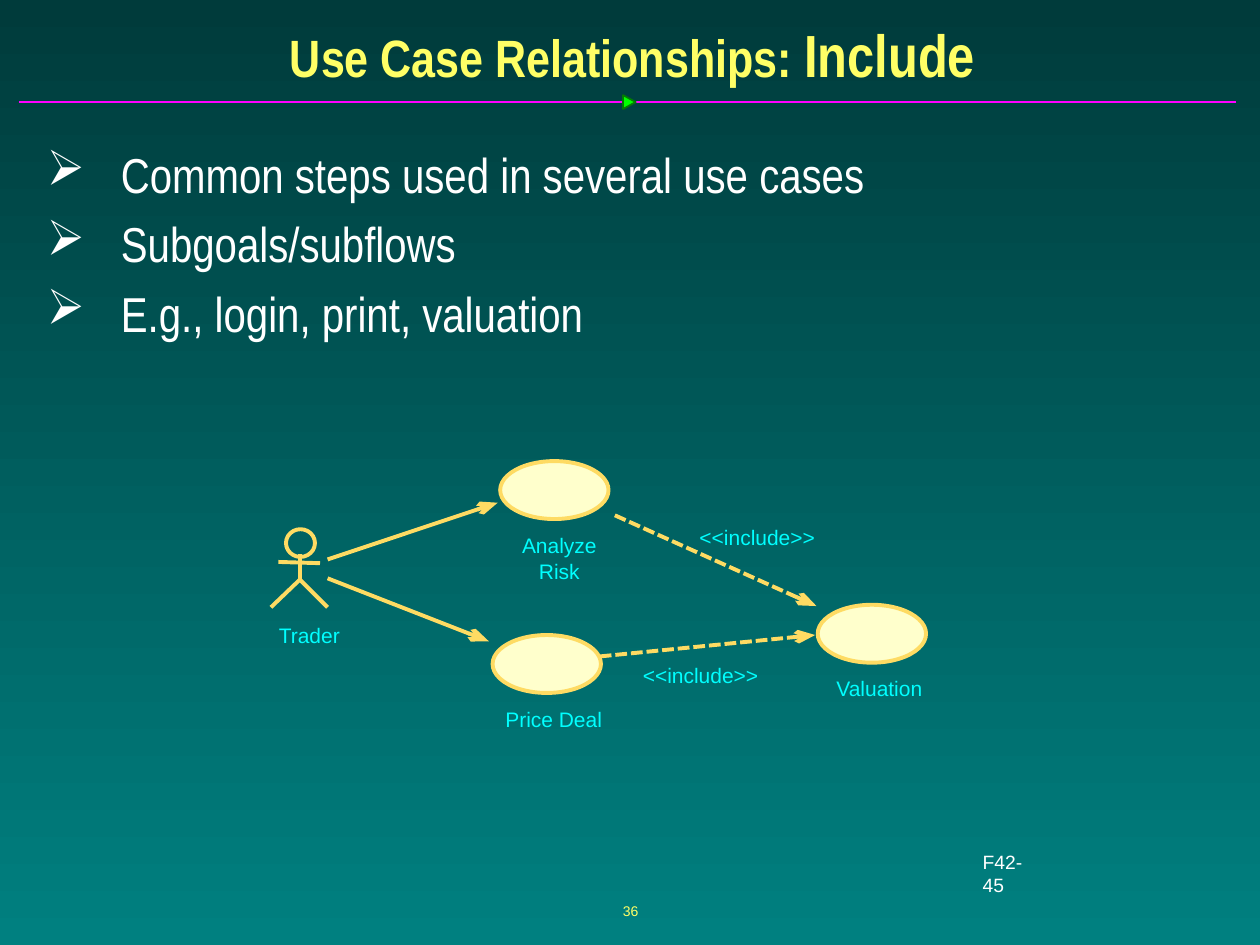
from lxml import etree
from pptx import Presentation
from pptx.dml.color import RGBColor
from pptx.enum.dml import MSO_LINE
from pptx.enum.shapes import MSO_CONNECTOR, MSO_SHAPE
from pptx.enum.text import MSO_ANCHOR, PP_ALIGN
from pptx.oxml.ns import qn
from pptx.util import Inches, Pt

STRAIGHT = MSO_CONNECTOR.STRAIGHT
OVAL = MSO_SHAPE.OVAL
TRIANGLE = MSO_SHAPE.ISOSCELES_TRIANGLE
DASH = MSO_LINE.SQUARE_DOT
LEFT, CENTER = PP_ALIGN.LEFT, PP_ALIGN.CENTER
TOP, MIDDLE = MSO_ANCHOR.TOP, MSO_ANCHOR.MIDDLE

YELLOW, WHITE, CYAN = "FFFF66", "FFFFFF", "00FFFF"
GOLD, CREAM = "FEDB63", "FFFFCC"
DIAGRAM_LINE = 2.25

BULLETS = [
    "Common steps used in several use cases",
    "Subgoals/subflows",
    "E.g., login, print, valuation",
]
# Ellipse left and top
USE_CASES = [(3.97, 3.66), (3.91, 5.04), (6.49, 4.8)]
# Text, left, top, width
LABELS = [
    ("Analyze Risk", 3.96, 4.23, 0.96),
    ("Price Deal", 4.01, 5.61, 0.77),
    ("Valuation", 6.63, 5.36, 0.7),
    ("Trader", 2.21, 4.94, 0.49),
    ("<<include>>", 5.1, 5.26, 0.92),
    ("<<include>>", 5.55, 4.16, 0.92),
]
# Start, end, dash style
ARROWS = [
    ((2.6, 4.44), (3.95, 3.99), None),
    ((2.6, 4.59), (3.88, 5.09), None),
    ((4.88, 4.09), (6.48, 4.81), DASH),
    ((4.76, 5.21), (6.47, 5.04), DASH),
]


def color(hex_string):
    return RGBColor.from_string(hex_string)


def set_background(slide, top_color, bottom_color):
    fill = slide.background.fill
    fill.gradient()
    fill.gradient_angle = 270
    for stop, hex_string in zip(fill.gradient_stops, (top_color, bottom_color)):
        stop.color.rgb = color(hex_string)


def style_shape(shape, fill, line, width):
    shape.shadow.inherit = False
    if fill:
        shape.fill.solid()
        shape.fill.fore_color.rgb = color(fill)
    else:
        shape.fill.background()
    shape.line.color.rgb = color(line)
    shape.line.width = Pt(width)


def add_preset(slide, preset, box, fill, line=GOLD, width=DIAGRAM_LINE):
    shape = slide.shapes.add_shape(preset, *map(Inches, box))
    style_shape(shape, fill, line, width)
    return shape


def add_line(slide, start, end, line=GOLD, width=DIAGRAM_LINE, dash=None, arrow=False):
    connector = slide.shapes.add_connector(STRAIGHT, *map(Inches, start + end))
    connector.line.color.rgb = color(line)
    connector.line.width = Pt(width)
    if dash is not None:
        connector.line.dash_style = dash
    if arrow:
        etree.SubElement(connector.line._get_or_add_ln(), qn("a:tailEnd"),
                         type="arrow", w="med", len="lg")
    etree.SubElement(connector._element.spPr, qn("a:effectLst"))


def format_font(font, size, hex_string, name="Arial", bold=False):
    font.size = Pt(size)
    font.name = name
    font.bold = bold
    font.color.rgb = color(hex_string)


def add_text_frame(slide, box, margins=(0, 0), anchor=TOP, wrap=False):
    text_frame = slide.shapes.add_textbox(*map(Inches, box)).text_frame
    text_frame.margin_left = text_frame.margin_right = Inches(margins[0])
    text_frame.margin_top = text_frame.margin_bottom = Inches(margins[1])
    text_frame.vertical_anchor = anchor
    text_frame.word_wrap = wrap
    return text_frame


def add_label(slide, text, box, size, hex_string, align=CENTER, **frame_options):
    text_frame = add_text_frame(slide, box, **frame_options)
    text_frame.text = text
    paragraph = text_frame.paragraphs[0]
    paragraph.alignment = align
    format_font(paragraph.runs[0].font, size, hex_string)


def add_title(slide):
    text_frame = add_text_frame(slide, (0.1, 0.14, 9.84, 0.58), (0.1, 0.05), MIDDLE, True)
    paragraph = text_frame.paragraphs[0]
    paragraph.alignment = CENTER
    for text, size in (("Use Case Relationships: ", 30), ("Include", 34)):
        run = paragraph.add_run()
        run.text = text
        format_font(run.font, size, YELLOW, "Arial Narrow", True)


def add_bullet(paragraph, indent):
    properties = paragraph._p.get_or_add_pPr()
    properties.set("marL", str(Inches(indent)))
    properties.set("indent", str(-Inches(indent)))
    bullet_color = etree.SubElement(properties, qn("a:buClr"))
    etree.SubElement(bullet_color, qn("a:srgbClr"), val=WHITE)
    etree.SubElement(properties, qn("a:buChar"), char="➢")


def add_bullet_list(slide):
    text_frame = add_text_frame(slide, (0.25, 1.15, 9.43, 5.52), (0.12, 0.06), wrap=True)
    text_frame.text = "\n".join(BULLETS)
    for index, paragraph in enumerate(text_frame.paragraphs):
        add_bullet(paragraph, 0.59)
        paragraph.line_spacing = 0.87
        if index:
            paragraph.space_before = Pt(10.5)
        format_font(paragraph.runs[0].font, 28, WHITE, "Arial Narrow")


def add_actor(slide):
    add_preset(slide, OVAL, (2.27, 4.2, 0.23, 0.22), None)
    add_line(slide, (2.38, 4.4), (2.38, 4.6))
    add_line(slide, (2.21, 4.46), (2.54, 4.47))
    builder = slide.shapes.build_freeform(Inches(2.15), Inches(4.82))
    legs = [(Inches(x), Inches(y)) for x, y in ((2.38, 4.6), (2.6, 4.82))]
    builder.add_line_segments(legs, close=False)
    style_shape(builder.convert_to_shape(), None, GOLD, DIAGRAM_LINE)


def main():
    presentation = Presentation()
    presentation.slide_width, presentation.slide_height = Inches(10), Inches(7.5)
    slide = presentation.slides.add_slide(presentation.slide_layouts[6])
    set_background(slide, "003B3B", "008080")

    # Rule with its marker, and the slide number
    add_line(slide, (0.15, 0.81), (9.81, 0.81), "FF01FF", 1)
    marker = add_preset(slide, TRIANGLE, (4.94, 0.76, 0.11, 0.1), "00FF00", "037C03", 1)
    marker.rotation = 90
    add_label(slide, "36", (3.42, 6.98, 3.17, 0.5), 8, YELLOW,
              margins=(0.1, 0.05), anchor=MIDDLE)

    # Title, bullets and reference
    add_title(slide)
    add_bullet_list(slide)
    add_label(slide, "F42-45", (7.7, 6.7, 0.68, 0.29), 11, WHITE, LEFT,
              margins=(0.1, 0.05))

    # Use case diagram
    for left, top in USE_CASES:
        add_preset(slide, OVAL, (left, top, 0.86, 0.46), CREAM)
    add_actor(slide)
    for start, end, dash in ARROWS:
        add_line(slide, start, end, dash=dash, arrow=True)
    for text, left, top, width in LABELS:
        add_label(slide, text, (left, top, width, 0.2), 12, CYAN)

    presentation.save("out.pptx")


if __name__ == "__main__":
    main()
